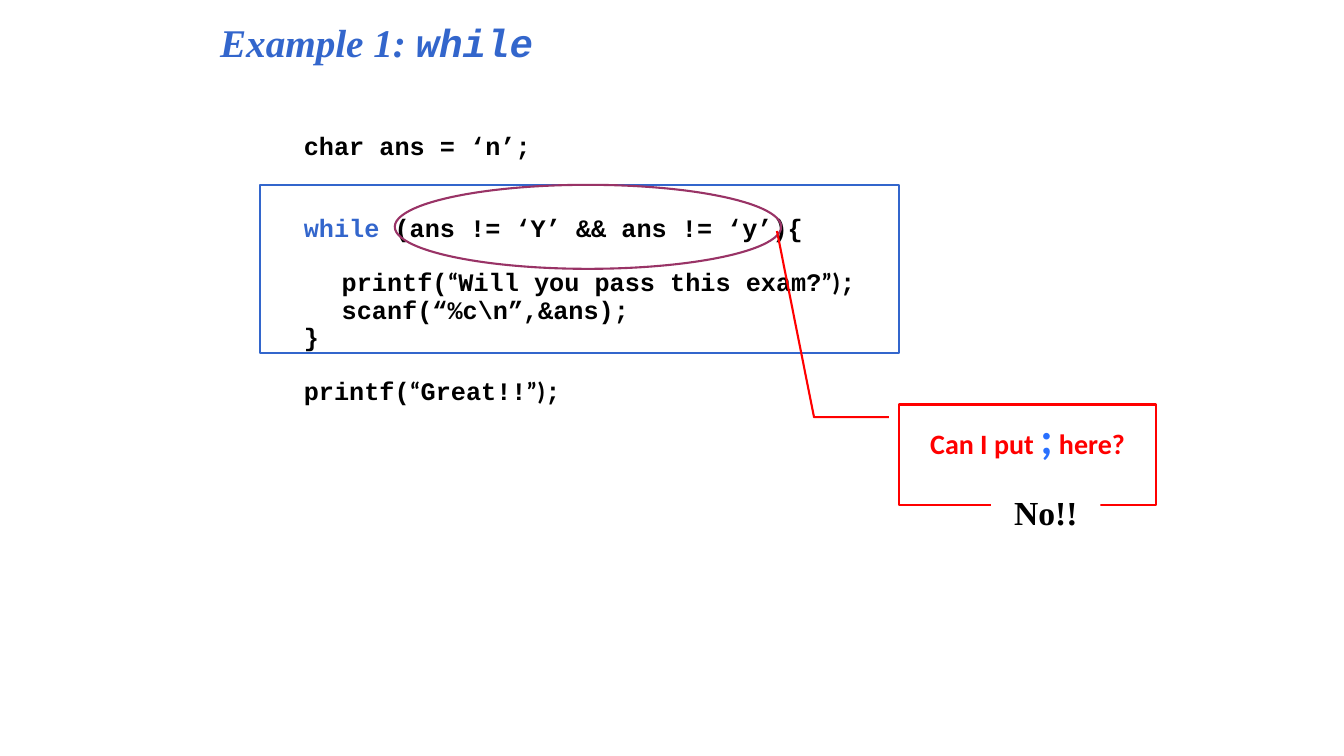
from pptx import Presentation
from pptx.dml.color import RGBColor
from pptx.enum.shapes import MSO_SHAPE
from pptx.enum.text import MSO_ANCHOR, MSO_AUTO_SIZE, PP_ALIGN
from pptx.util import Pt

BLUE, RED, PLUM, BLACK, WHITE = "3366CC", "FF0000", "993366", "000000", "FFFFFF"
CODE_FONT, QUOTE_FONT, SERIF = "Courier New", "Calibri", "Times New Roman"
LINE_PITCH = 19.5


def color(hex_string):
    """Turn a hex string into a colour."""
    return RGBColor.from_string(hex_string)


def add_text(paragraph, text, size=18, font=CODE_FONT, fill=BLACK, italic=False):
    """Append a bold run with the given format."""
    run = paragraph.add_run()
    run.text = text
    run.font.size, run.font.name = Pt(size), font
    run.font.bold, run.font.italic = True, italic
    run.font.color.rgb = color(fill)


def style_shape(shape, line=None, fill=None):
    """Set outline and fill, and remove the shadow."""
    shape.shadow.inherit = False
    if fill:
        shape.fill.solid()
        shape.fill.fore_color.rgb = color(fill)
    else:
        shape.fill.background()
    if line:
        shape.line.color.rgb = color(line)
        shape.line.width = Pt(1.5)
    else:
        shape.line.fill.background()


def add_outline(slide, preset, box, line=None, fill=None):
    """Add a preset shape in a box of left, top, width, height."""
    shape = slide.shapes.add_shape(preset, *map(Pt, box))
    style_shape(shape, line, fill)
    return shape


def add_title(slide, box):
    """Fill the title placeholder."""
    title = slide.shapes.title
    title.left, title.top, title.width, title.height = map(Pt, box)
    frame = title.text_frame
    frame.auto_size = MSO_AUTO_SIZE.NONE
    frame.vertical_anchor = MSO_ANCHOR.MIDDLE
    paragraph = frame.paragraphs[0]
    paragraph.alignment = PP_ALIGN.LEFT
    add_text(paragraph, "Example 1: ", 28, SERIF, BLUE, True)
    add_text(paragraph, "while", 28, CODE_FONT, BLUE, True)


def add_code(slide, box):
    """Write the program; each line has blank rows before, an indent and runs."""
    code, quote, keyword = {}, {"font": QUOTE_FONT}, {"fill": BLUE}

    def printf(message):
        """Give the runs of a printf call."""
        return [("printf(", code), ("“", quote), (message, code), ("”)", quote), (";", code)]

    lines = [
        (0, 0, [("char ans = ‘n’;", code)]),
        (2, 0, [("while", keyword), (" (ans != ‘Y’ && ans != ‘y’){", code)]),
        (1, 27, printf("Will you pass this exam?")),
        (0, 27, [("scanf(“%c\\n”,&ans);", code)]),
        (0, 0, [("}", code)]),
        (1, 0, printf("Great!!")),
    ]
    frame = slide.shapes.add_textbox(*map(Pt, box)).text_frame
    frame.word_wrap = True
    frame.margin_top = Pt(5)
    for number, (blank_rows, indent, runs) in enumerate(lines):
        paragraph = frame.add_paragraph() if number else frame.paragraphs[0]
        paragraph.line_spacing = Pt(LINE_PITCH)
        paragraph.space_before = Pt(blank_rows * LINE_PITCH)
        paragraph._p.get_or_add_pPr().set("marL", str(Pt(indent)))
        for text, text_format in runs:
            add_text(paragraph, text, **text_format)


def add_loop_marks(slide, box):
    """Frame the loop and circle its condition."""
    left, top, width, height = box
    add_outline(slide, MSO_SHAPE.RECTANGLE, box, BLUE)
    add_outline(slide, MSO_SHAPE.OVAL, (left + 96, top, 276, height / 2), PLUM)


def add_question(slide, box):
    """Add the question box, its leader and the answer on its lower edge."""
    left, top, width, height = box
    question = add_outline(slide, MSO_SHAPE.RECTANGLE, box, RED)
    question.text_frame.vertical_anchor = MSO_ANCHOR.TOP
    paragraph = question.text_frame.paragraphs[0]
    paragraph.alignment = PP_ALIGN.CENTER
    add_text(paragraph, "Can I put ", 20, QUOTE_FONT, RED)
    add_text(paragraph, ";", 32, QUOTE_FONT, "2970FF")
    add_text(paragraph, " here?", 20, QUOTE_FONT, RED)

    leader = slide.shapes.build_freeform(Pt(left - 7), Pt(top + 9))
    leader.add_line_segments(
        [(Pt(left - 60.5), Pt(top + 9)), (Pt(left - 87), Pt(top - 124))], close=False)
    style_shape(leader.convert_to_shape(), RED)

    answer = add_outline(
        slide, MSO_SHAPE.RECTANGLE, (left + 66, top + 59, 78, 36), fill=WHITE)
    answer.text_frame.vertical_anchor = MSO_ANCHOR.TOP
    paragraph = answer.text_frame.paragraphs[0]
    paragraph.alignment = PP_ALIGN.CENTER
    add_text(paragraph, "No!!", 24, SERIF)


def build_slide(presentation):
    """Build the while example slide."""
    slide = presentation.slides.add_slide(presentation.slide_layouts[5])
    add_title(slide, (150, 18, 576, 24))
    add_code(slide, (210, 90, 498, 234))
    add_loop_marks(slide, (186, 132, 456, 120))
    add_question(slide, (642, 289, 184, 72))


presentation = Presentation()
presentation.slide_width, presentation.slide_height = Pt(960), Pt(540)
build_slide(presentation)
presentation.save("out.pptx")
